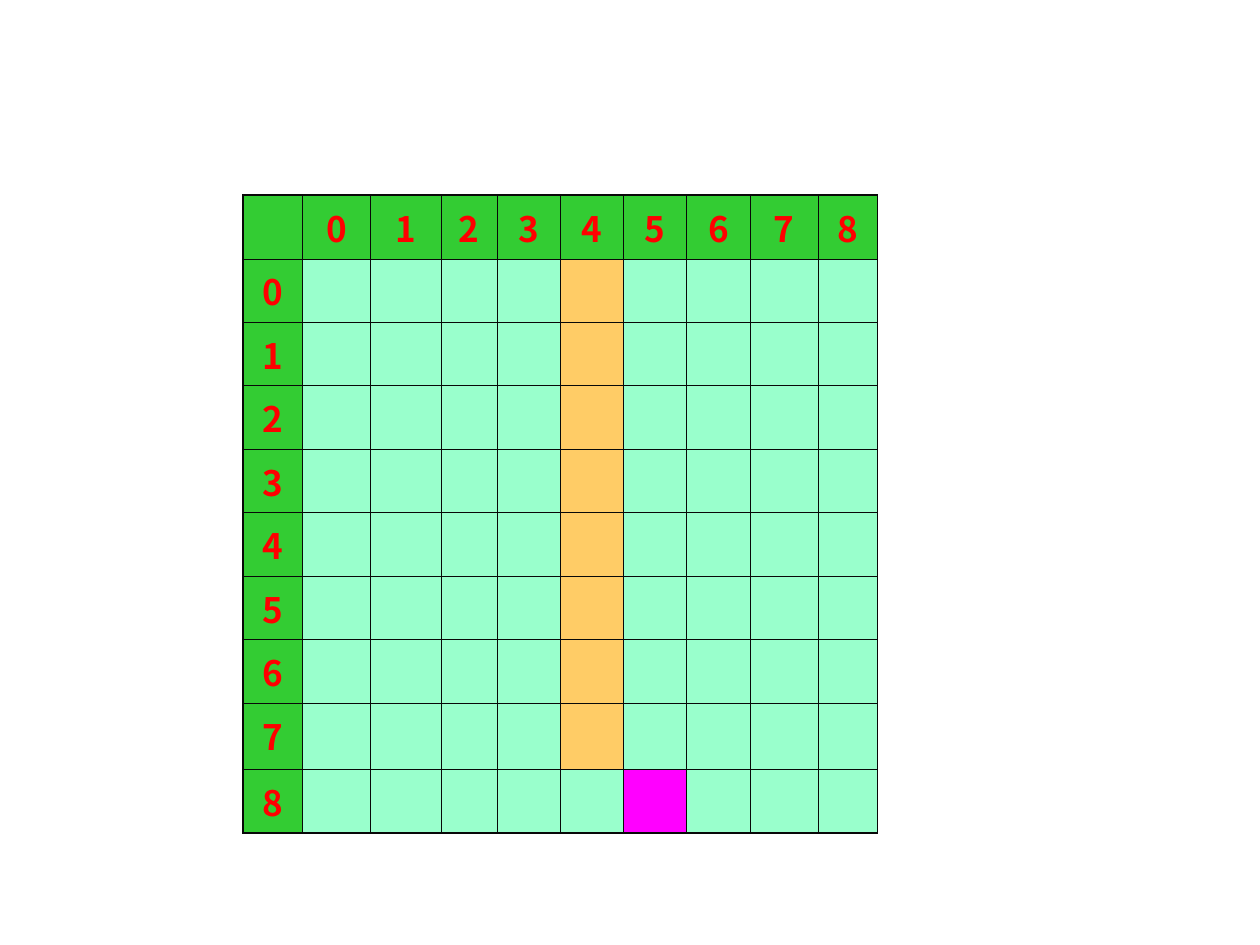
from lxml.etree import SubElement
from pptx import Presentation
from pptx.dml.color import RGBColor
from pptx.enum.text import PP_ALIGN as Align
from pptx.oxml.ns import qn
from pptx.util import Pt

COLUMN_WIDTHS = [34, 38.5, 40.5, 32, 36, 36, 36.5, 36.5, 38.5, 34]
ROW_HEIGHTS = [36.5, 36, 34.5, 35.5, 36, 35.5, 36, 35.5, 38, 35.5]
LAST = len(ROW_HEIGHTS) - 1
HEADER, PLAIN, PATH, GOAL = "33CC33", "99FFCC", "FFCC66", "FF00FF"
PATH_COLUMN, GOAL_CELL = 5, (LAST, 6)
LABEL_FORMAT = {"name": "Noto Sans CJK SC", "size": Pt(20), "bold": True}
LINE, THIN, THICK = "080808", 0.45, 1.08


def color(value):
    """Turn a hex string into a colour."""
    return RGBColor.from_string(value)


def cell_fill(row, column):
    """Choose the fill of a grid cell."""
    if row == 0 or column == 0:
        return HEADER
    if (row, column) == GOAL_CELL:
        return GOAL
    return PATH if column == PATH_COLUMN and row < LAST else PLAIN


def set_borders(cell, row, column):
    """Draw thin cell borders with a thicker frame around the grid."""
    properties = cell._tc.get_or_add_tcPr()
    on_frame = {"L": column == 0, "R": column == LAST, "T": row == 0, "B": row == LAST}
    for index, (side, is_frame) in enumerate(on_frame.items()):
        width = Pt(THICK if is_frame else THIN)
        line = SubElement(properties, qn(f"a:ln{side}"), w=str(width))
        fill = SubElement(line, qn("a:solidFill"))
        SubElement(fill, qn("a:srgbClr"), val=LINE)
        properties.insert(index, line)


def write_label(cell, text):
    """Write a centred row or column number."""
    paragraph = cell.text_frame.paragraphs[0]
    paragraph.alignment = Align.CENTER
    run = paragraph.add_run()
    run.text = text
    for name, value in LABEL_FORMAT.items():
        setattr(run.font, name, value)
    run.font.color.rgb = color("FF0000")


def add_grid(slide, left, top):
    """Add the numbered grid with its path and goal cells."""
    shape = slide.shapes.add_table(
        len(ROW_HEIGHTS), len(COLUMN_WIDTHS), Pt(left), Pt(top),
        Pt(sum(COLUMN_WIDTHS)), Pt(sum(ROW_HEIGHTS)))
    table = shape.table
    table.first_row = table.horz_banding = False
    for column, width in zip(table.columns, COLUMN_WIDTHS):
        column.width = Pt(width)
    for row, height in zip(table.rows, ROW_HEIGHTS):
        row.height = Pt(height)
    for index, cell in enumerate(table.iter_cells()):
        row, column = divmod(index, len(COLUMN_WIDTHS))
        cell.fill.solid()
        cell.fill.fore_color.rgb = color(cell_fill(row, column))
        set_borders(cell, row, column)
        if (row == 0) != (column == 0):
            write_label(cell, str(row + column - 1))


def main():
    """Build and save the slide."""
    presentation = Presentation()
    presentation.slide_width, presentation.slide_height = Pt(720), Pt(540)
    slide = presentation.slides.add_slide(presentation.slide_layouts[6])
    add_grid(slide, 139, 111.5)
    presentation.save("out.pptx")


if __name__ == "__main__":
    main()
